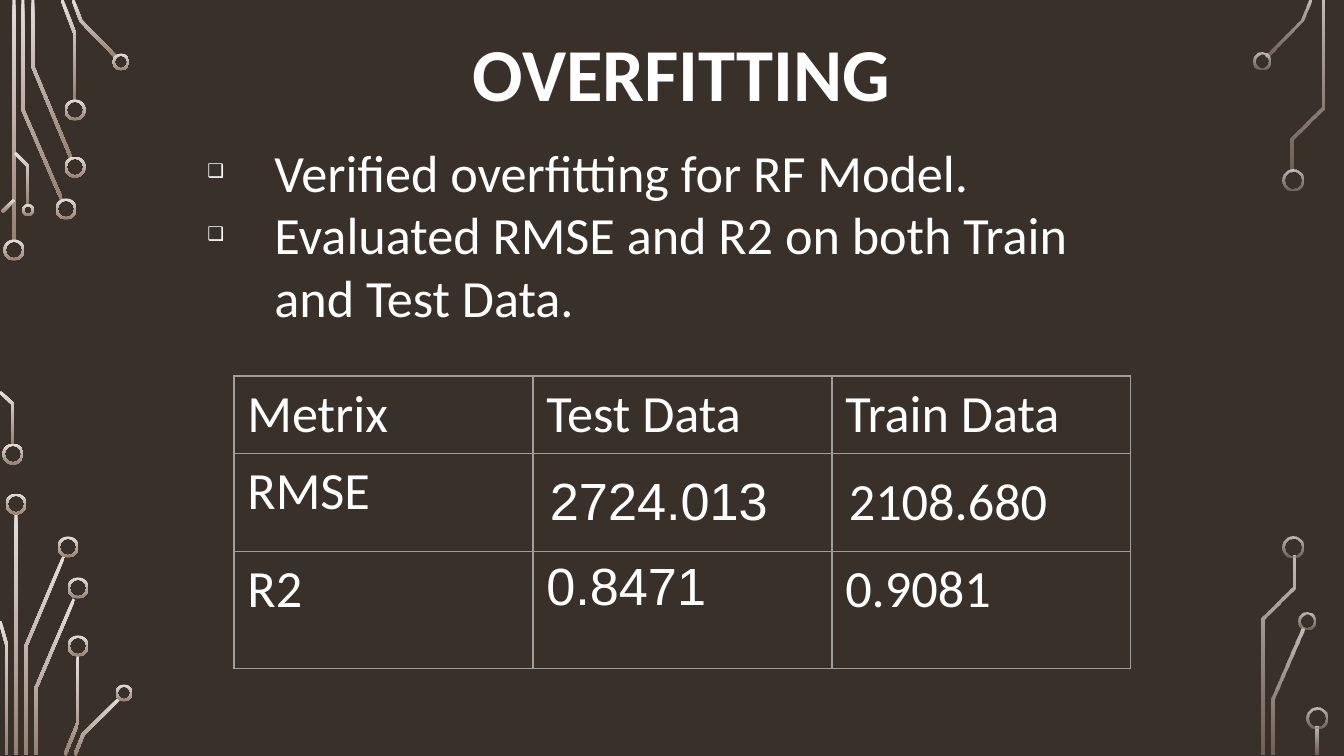
import math

from lxml import etree
from pptx import Presentation
from pptx.dml.color import RGBColor
from pptx.enum.shapes import MSO_SHAPE
from pptx.enum.text import MSO_ANCHOR, MSO_AUTO_SIZE, PP_ALIGN
from pptx.oxml.ns import qn
from pptx.util import Emu, Pt

DONUT = MSO_SHAPE.DONUT
TOP, MIDDLE = MSO_ANCHOR.TOP, MSO_ANCHOR.MIDDLE
LEFT, CENTER = PP_ALIGN.LEFT, PP_ALIGN.CENTER
NO_AUTOFIT = MSO_AUTO_SIZE.NONE

EMU_PER_PX = 914400 / 134.4
TRACE_WIDTH = 3
RING_WIDTH = 2.2
COLORS = {
    "background": "39302A",
    "text": "FFFFFF",
    "border": "9E9E9E",
    "trace_light": "E5DEDB",
    "trace_dark": "968071",
}
SOLID = (100, 100)
FADED = (80, 60)

LEFT_TRACES = [
    [(14, 0), (14, 241)],
    [(23, 0), (23, 110), (62, 200)],
    [(33, 0), (33, 67), (71, 158)],
    [(62, 0), (75, 34), (75, 101)],
    [(73, 0), (81, 21), (116, 57)],
    [(2, 212), (14, 200)],
    [(0, 392), (13, 404), (13, 444)],
    [(15, 153), (28, 166), (28, 204)],
    [(16, 513), (16, 755)],
    [(26, 755), (26, 646), (64, 556)],
    [(0, 621), (7, 646), (7, 755)],
    [(36, 755), (36, 688), (74, 599)],
    [(65, 755), (78, 723), (78, 656)],
    [(75, 755), (83, 735), (119, 699)],
]
LEFT_RINGS = [
    (14, 250, 21), (13, 454, 21), (66, 209, 21), (75, 167, 21),
    (75, 110, 21), (121, 62, 17), (28, 210, 12), (16, 504, 21),
    (68, 547, 21), (78, 588, 21), (78, 646, 21), (124, 693, 17),
]
RIGHT_TRACES = [
    [(1310, 0), (1302, 20), (1267, 56)],
    [(1273, 755), (1273, 699), (1303, 628)],
    [(1323, 0), (1323, 108), (1292, 139), (1292, 171)],
    [(1263, 755), (1263, 619), (1294, 588), (1294, 556)],
    [(1317, 727), (1317, 755)],
]
RIGHT_RINGS = [
    (1262, 61, 17), (1293, 180, 21), (1307, 621, 17),
    (1293, 547, 21), (1317, 718, 21),
]
BULLETS = [
    "Verified overfitting for RF Model.",
    "Evaluated RMSE and R2 on both Train and Test Data.",
]
METRICS = [
    ["Metrix", "Test Data", "Train Data"],
    ["RMSE", "2724.013", "2108.680"],
    ["R2", "0.8471", "0.9081"],
]
COLUMN_WIDTH = 299
ROW_HEIGHTS = [76, 98, 117]


def px(length):
    return Emu(round(length * EMU_PER_PX))


def color(name):
    return RGBColor.from_string(COLORS[name])


def place(shape, left, top, width, height):
    shape.left, shape.top = px(left), px(top)
    shape.width, shape.height = px(width), px(height)


def add_run(paragraph, text, size, font="Calibri", bold=False):
    run = paragraph.add_run()
    run.text = text
    run.font.name = font
    run.font.size = Pt(size)
    run.font.bold = bold
    run.font.color.rgb = color("text")


def style_circuit(shape, opacities):
    shape.shadow.inherit = False
    shape.line.fill.background()
    shape.fill.gradient()
    shape.fill.gradient_angle = 270
    names = ("trace_light", "trace_dark")
    for stop, name, position, opacity in zip(shape.fill.gradient_stops, names, (0, 1), opacities):
        stop.color.rgb = color(name)
        stop.position = position
    if opacities != SOLID:
        for element, opacity in zip(shape.element.spPr.iter(qn("a:srgbClr")), opacities):
            etree.SubElement(element, qn("a:alpha"), val=str(opacity * 1000))


def trace_side(points, offset):
    normals = []
    for (x1, y1), (x2, y2) in zip(points, points[1:]):
        length = math.hypot(x2 - x1, y2 - y1)
        normals.append(((y1 - y2) / length, (x2 - x1) / length))
    side = []
    for (x, y), before, after in zip(points, normals[:1] + normals, normals + normals[-1:]):
        reach = offset / (1 + before[0] * after[0] + before[1] * after[1])
        side.append((x + reach * (before[0] + after[0]), y + reach * (before[1] + after[1])))
    return side


def add_trace(slide, points, opacities):
    half = TRACE_WIDTH / 2
    outline = trace_side(points, half) + trace_side(points, -half)[::-1]
    corners = [(px(x), px(y)) for x, y in outline]
    builder = slide.shapes.build_freeform(*corners[0])
    builder.add_line_segments(corners[1:], close=True)
    style_circuit(builder.convert_to_shape(), opacities)


def add_ring(slide, center_x, center_y, diameter, opacities):
    radius = diameter / 2
    ring = slide.shapes.add_shape(
        DONUT, px(center_x - radius), px(center_y - radius), px(diameter), px(diameter))
    ring.adjustments[0] = RING_WIDTH / diameter
    style_circuit(ring, opacities)


def add_circuit(slide, traces, rings, opacities):
    for points in traces:
        add_trace(slide, points, opacities)
    for ring in rings:
        add_ring(slide, *ring, opacities)


def fill_title(title, text):
    place(title, 136, -4, 1091, 163)
    title.text_frame.vertical_anchor = MIDDLE
    paragraph = title.text_frame.paragraphs[0]
    paragraph.alignment = CENTER
    paragraph.line_spacing = 0.9
    add_run(paragraph, text, 40, bold=True)


def fill_bullets(body, items):
    place(body, 194, 133, 949, 220)
    frame = body.text_frame
    frame.auto_size = NO_AUTOFIT
    frame.vertical_anchor = TOP
    for index, item in enumerate(items):
        paragraph = frame.add_paragraph() if index else frame.paragraphs[0]
        paragraph.alignment = LEFT
        paragraph.line_spacing = 1.0
        paragraph.space_before = Pt(0)
        add_run(paragraph, item, 28)
        properties = paragraph._p.get_or_add_pPr()
        properties.set("marL", str(px(67)))
        properties.set("indent", str(px(-67)))
        etree.SubElement(properties, qn("a:buSzPct"), val="36000")
        etree.SubElement(properties, qn("a:buFont"), typeface="Arial")
        etree.SubElement(properties, qn("a:buChar"), char="❑")


def border_cell(cell):
    properties = cell._tc.get_or_add_tcPr()
    for index, edge in enumerate(("a:lnL", "a:lnR", "a:lnT", "a:lnB")):
        line = etree.Element(qn(edge), w=str(Pt(0.75)))
        fill = etree.SubElement(line, qn("a:solidFill"))
        etree.SubElement(fill, qn("a:srgbClr"), val=COLORS["border"])
        properties.insert(index, line)


def add_metrics_table(slide, rows):
    columns = len(rows[0])
    table = slide.shapes.add_table(
        len(rows), columns, px(234), px(376),
        px(COLUMN_WIDTH * columns), px(sum(ROW_HEIGHTS))).table
    table.first_row = table.horz_banding = False
    for column in table.columns:
        column.width = px(COLUMN_WIDTH)
    for row_index, values in enumerate(rows):
        table.rows[row_index].height = px(ROW_HEIGHTS[row_index])
        for column_index, value in enumerate(values):
            cell = table.cell(row_index, column_index)
            cell.fill.background()
            border_cell(cell)
            if row_index == 1 and column_index:
                cell.vertical_anchor = MIDDLE
                cell.margin_left = cell.margin_right = px(17)
                cell.margin_top = cell.margin_bottom = px(17)
            font = "Arial" if row_index and column_index == 1 else "Calibri"
            add_run(cell.text_frame.paragraphs[0], value, 28, font)


def main():
    presentation = Presentation()
    presentation.slide_width, presentation.slide_height = px(1344), px(756)
    slide = presentation.slides.add_slide(presentation.slide_layouts[1])
    slide.background.fill.solid()
    slide.background.fill.fore_color.rgb = color("background")
    add_circuit(slide, LEFT_TRACES, LEFT_RINGS, SOLID)
    add_circuit(slide, RIGHT_TRACES, RIGHT_RINGS, FADED)
    fill_title(slide.shapes.title, "OVERFITTING")
    fill_bullets(slide.placeholders[1], BULLETS)
    add_metrics_table(slide, METRICS)
    presentation.save("out.pptx")


if __name__ == "__main__":
    main()
